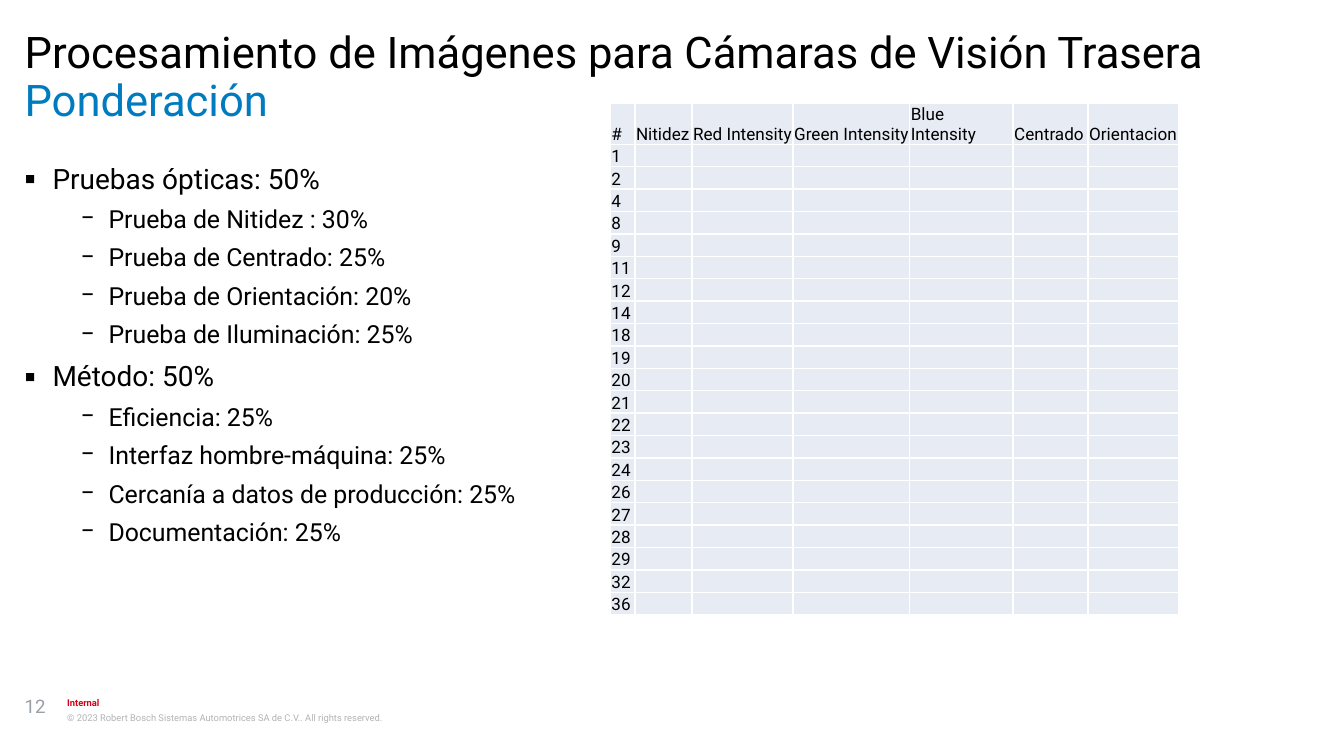
import pptx
import pptx.util
import pptx.dml.color
import pptx.enum.text
import pptx.oxml.ns
from lxml import etree

Pt = pptx.util.Pt
FONT = "Roboto"
TITLE = "Ponderación"
SUBJECT = "Procesamiento de Imágenes para Cámaras de Visión Trasera"
TOPICS = [
    ("Pruebas ópticas: 50%", [
        "Prueba de Nitidez : 30%",
        "Prueba de Centrado: 25%",
        "Prueba de Orientación: 20%",
        "Prueba de Iluminación: 25%",
    ]),
    ("Método: 50%", [
        "Eficiencia: 25%",
        "Interfaz hombre-máquina: 25%",
        "Cercanía a datos de producción: 25%",
        "Documentación: 25%",
    ]),
]
COLUMNS = [
    ("#", 15.8), ("Nitidez", 36.7), ("Red Intensity", 65),
    ("Green Intensity", 75), ("Blue Intensity", 66.5),
    ("Centrado", 48.2), ("Orientacion", 58.5),
]
TEAMS = [1, 2, 4, 8, 9, 11, 12, 14, 18, 19, 20, 21, 22, 23, 24, 26, 27, 28, 29, 32, 36]
FOOTER = [
    ("12", (15.8, 446.4, 23, 32.4), 12, "999FA6", False, 1),
    ("Internal", (43.2, 447.8, 718.6, 8.6), 6, "D70012", True, 1.07),
    ("© 2023 Robert Bosch Sistemas Automotrices SA de C.V.. All rights reserved.",
     (43.2, 456.5, 718.6, 17.3), 6, "B2B3B5", False, 1.2),
]
LEVELS = [("▪", 18, 18, 1.07), ("−", 54, 16, 1.03)]


def rgb(value):
    """Turn a hex string into a colour."""
    return pptx.dml.color.RGBColor.from_string(value)


def add_xml(parent, tag, **attrs):
    """Append a DrawingML element to a parent."""
    return etree.SubElement(parent, pptx.oxml.ns.qn(tag), attrs)


def format_paragraph(p, size, color, spacing=1.0, before=0, bold=False):
    """Set the font and spacing of a paragraph."""
    p.alignment = pptx.enum.text.PP_ALIGN.LEFT
    p.line_spacing = spacing
    p.space_before = Pt(before)
    p.font.name, p.font.size, p.font.bold = FONT, Pt(size), bold
    p.font.color.rgb = rgb(color)


def prepare_frame(sp, box):
    """Place a shape and give its text frame zero insets."""
    sp.left, sp.top, sp.width, sp.height = map(Pt, box)
    tf = sp.text_frame
    tf.margin_left = tf.margin_top = tf.margin_right = tf.margin_bottom = 0
    tf.word_wrap = True
    tf.auto_size = pptx.enum.text.MSO_AUTO_SIZE.NONE
    tf.vertical_anchor = pptx.enum.text.MSO_ANCHOR.TOP
    return tf


def add_heading(sp, text, top, color):
    """Fill one of the two heading lines."""
    p = prepare_frame(sp, (15.8, top, 831.6, 31)).paragraphs[0]
    p.text = text
    add_xml(p._p.get_or_add_pPr(), "a:buNone")
    format_paragraph(p, 28, color, 0.89)


def add_topics(sp):
    """Fill the two-level list of weights."""
    tf = prepare_frame(sp, (15.8, 102.2, 831.6, 334))
    items = [(level, text) for topic, parts in TOPICS
             for level, text in [(0, topic)] + [(1, part) for part in parts]]
    for i, (level, text) in enumerate(items):
        p = tf.add_paragraph() if i else tf.paragraphs[0]
        bullet, indent, size, spacing = LEVELS[level]
        p.text, p.level = text, level
        pPr = p._p.get_or_add_pPr()
        pPr.set("marL", str(Pt(indent)))
        pPr.set("indent", str(-Pt(18)))
        add_xml(pPr, "a:buFont", typeface=FONT)
        add_xml(pPr, "a:buChar", char=bullet)
        format_paragraph(p, size, "000000", spacing, 5 if i else 0)


def format_cell(cell, text):
    """Write a table cell with its fill and white borders."""
    cell.margin_left = cell.margin_right = cell.margin_top = Pt(0.7)
    cell.margin_bottom = 0
    cell.vertical_anchor = pptx.enum.text.MSO_ANCHOR.BOTTOM
    p = cell.text_frame.paragraphs[0]
    p.text = text
    format_paragraph(p, 11, "000000")
    if not text:
        add_xml(p._p, "a:endParaRPr", sz="1100")
    tcPr = cell._tc.get_or_add_tcPr()
    for side in "LRTB":
        ln = add_xml(tcPr, f"a:ln{side}", w=str(Pt(1)))
        add_xml(add_xml(ln, "a:solidFill"), "a:srgbClr", val="FFFFFF")
    cell.fill.solid()
    cell.fill.fore_color.rgb = rgb("E7ECF4")


def add_scores(s):
    """Add the score table with one row per team."""
    rows = [[name for name, _ in COLUMNS]]
    rows += [[str(team)] + [""] * (len(COLUMNS) - 1) for team in TEAMS]
    heights = [25.9] + [14.4] * len(TEAMS)
    widths = [width for _, width in COLUMNS]
    table = s.shapes.add_table(len(rows), len(widths), Pt(392.4), Pt(66.4),
                               Pt(sum(widths)), Pt(sum(heights))).table
    table.first_row = table.horz_banding = False
    for column, width in zip(table.columns, widths):
        column.width = Pt(width)
    for row, height, texts in zip(table.rows, heights, rows):
        row.height = Pt(height)
        for cell, text in zip(row.cells, texts):
            format_cell(cell, text)


def main():
    """Build the slide and save it."""
    prs = pptx.Presentation()
    prs.slide_width, prs.slide_height = Pt(864), Pt(486)
    s = prs.slides.add_slide(prs.slide_layouts[3])
    add_heading(s.shapes.title, TITLE, 51.1, "007BC0")
    add_heading(s.placeholders[1], SUBJECT, 20.2, "000000")
    add_topics(s.placeholders[2])
    for text, box, size, color, bold, spacing in FOOTER:
        sp = s.shapes.add_textbox(*map(Pt, box))
        p = prepare_frame(sp, box).paragraphs[0]
        p.text = text
        format_paragraph(p, size, color, spacing, bold=bold)
    add_scores(s)
    prs.save("out.pptx")


if __name__ == "__main__":
    main()
